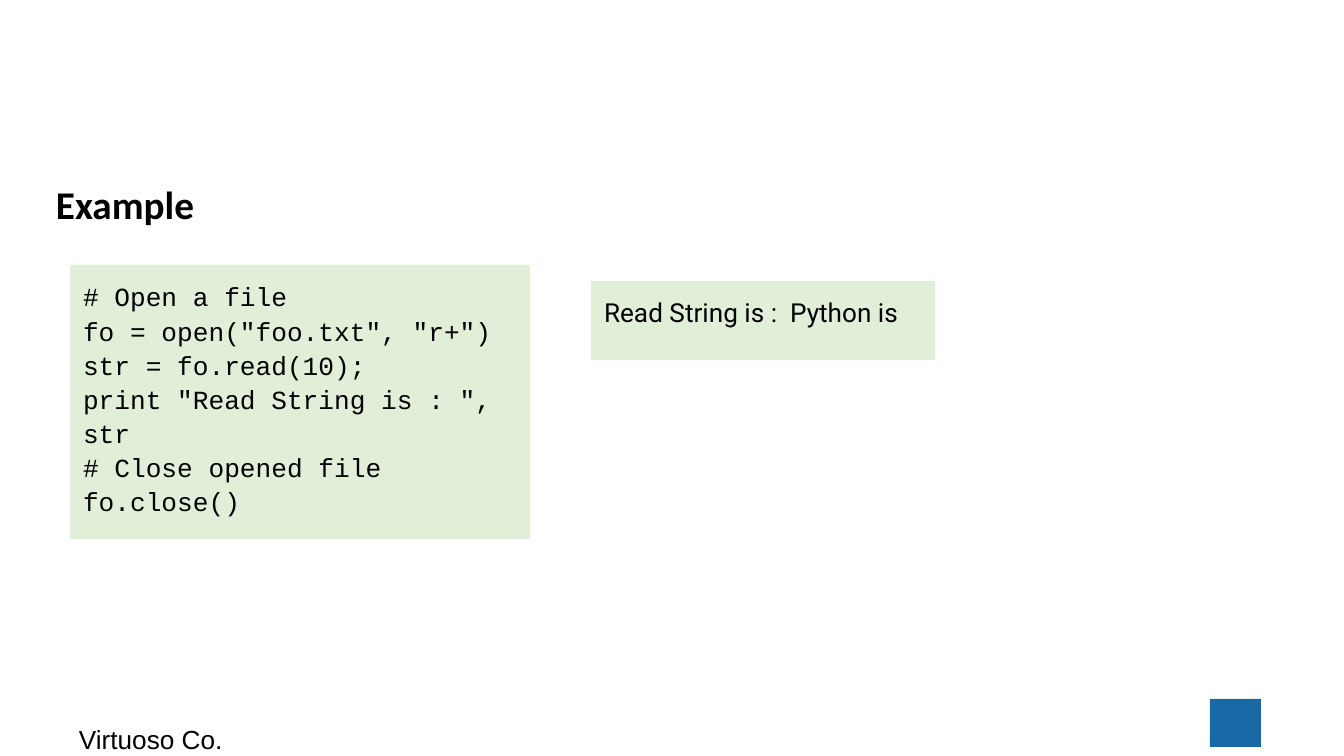
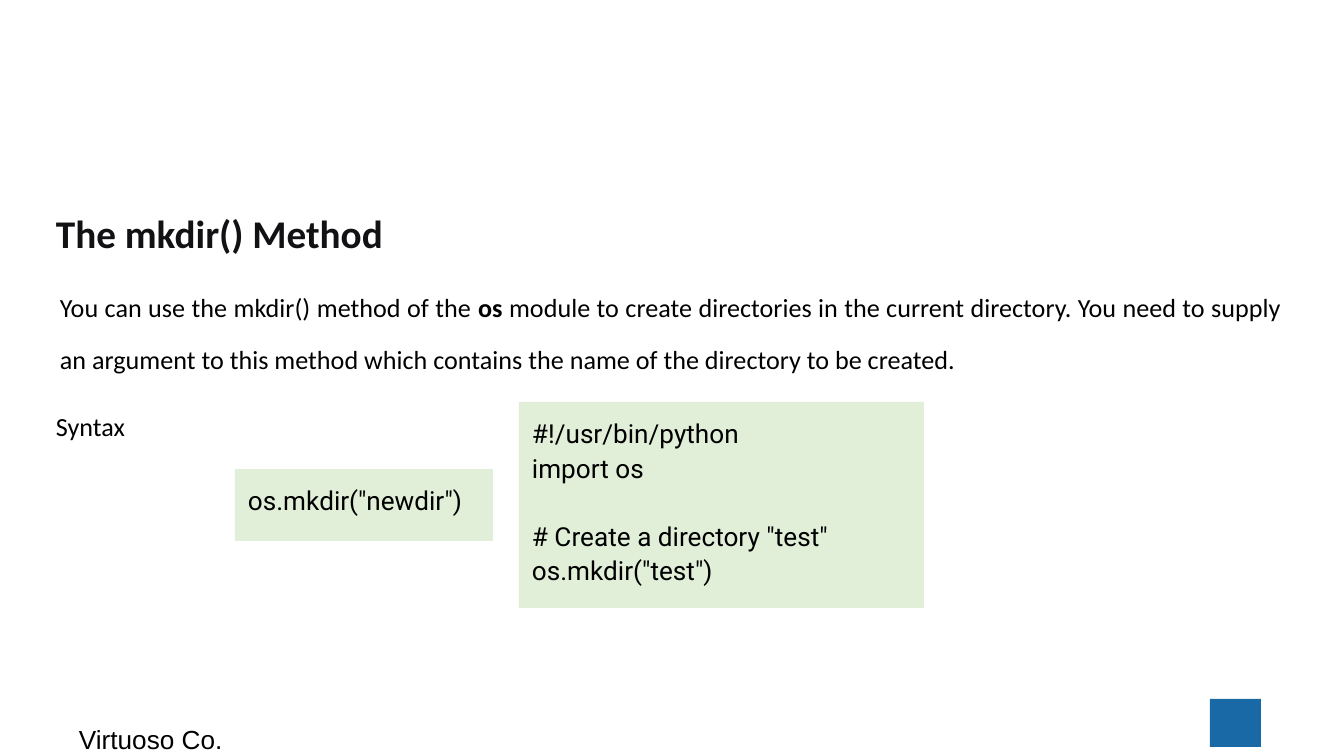
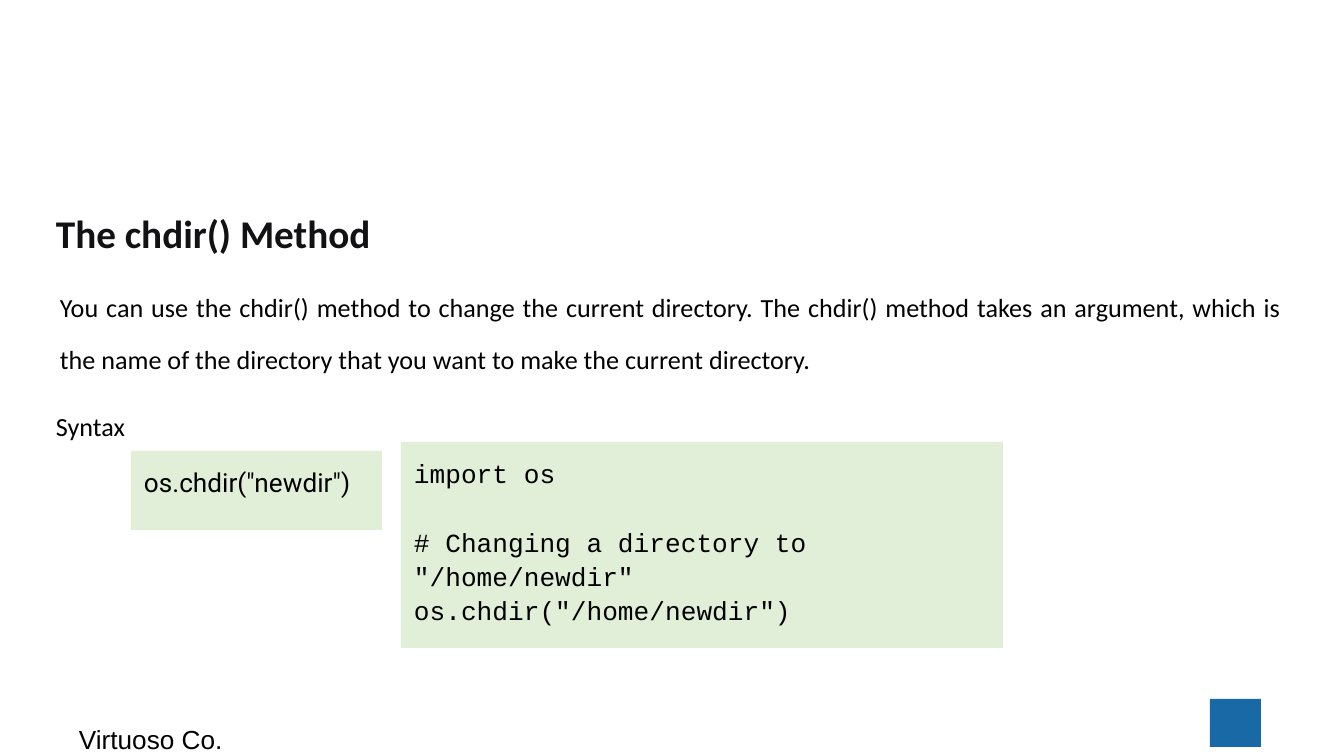
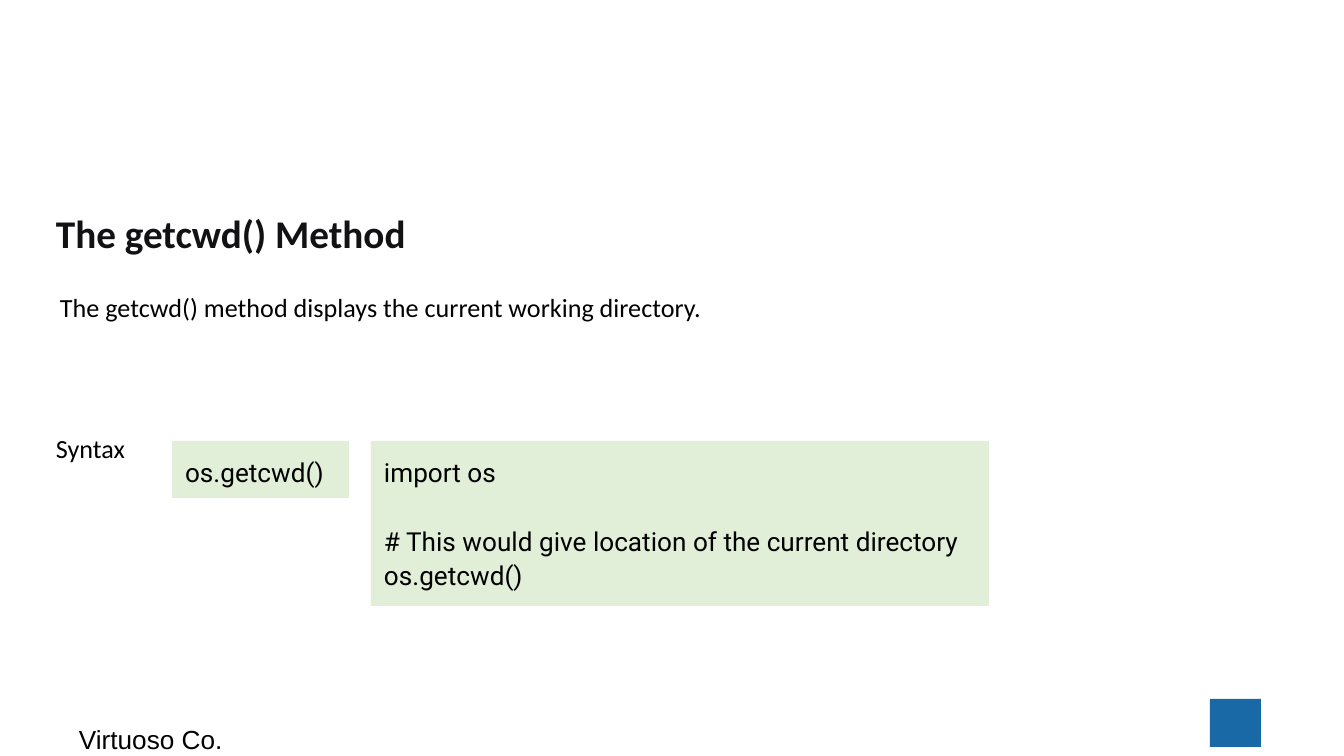
from dataclasses import dataclass

from copy import deepcopy
from pptx import Presentation
from pptx import util as u
from pptx.dml.color import RGBColor
from pptx.enum import shapes, text
from pptx.oxml.ns import qn

FOOTER = "Virtuoso Co."

SLIDES = [
    {
        "title": "Example",
        "code": [
            ((70, 265, 460, 274), "Courier New",
             '# Open a file\nfo = open("foo.txt", "r+")\nstr = fo.read(10);\n'
             'print "Read String is : ", str\n# Close opened file\nfo.close()'),
            ((591, 281, 344, 79), "Roboto", "Read String is :  Python is"),
        ],
    },
    {
        "title": "The mkdir() Method",
        "about": [
            ("You can use the mkdir() method of the ", False),
            ("os", True),
            (" module to create directories in the current directory. You need to supply "
             "an argument to this method which contains the name of the directory to be "
             "created.", False),
        ],
        "syntax_gap": 11,
        "code": [
            ((235, 469, 258, 72), "Roboto", 'os.mkdir("newdir")'),
            ((519, 402, 405, 206), "Roboto",
             '#!/usr/bin/python\nimport os\n\n# Create a directory "test"\nos.mkdir("test")'),
        ],
    },
    {
        "title": "The chdir() Method",
        "about": [
            ("You can use the chdir() method to change the current directory. The chdir() "
             "method takes an argument, which is the name of the directory that you want to "
             "make the current directory.", False),
        ],
        "syntax_gap": 11,
        "code": [
            ((131, 451, 251, 79), "Roboto", 'os.chdir("newdir")'),
            ((401, 442, 602, 206), "Courier New",
             'import os\n\n# Changing a directory to "/home/newdir"\nos.chdir("/home/newdir")'),
        ],
    },
    {
        "title": "The getcwd() Method",
        "about": [("The getcwd() method displays the current working directory.", False)],
        "syntax_gap": 50,
        "code": [
            ((172, 441, 177, 57), "Roboto", "os.getcwd()"),
            ((371, 441, 618, 165), "Roboto",
             "import os\n\n# This would give location of the current directory\nos.getcwd()"),
        ],
    },
]


@dataclass(frozen=True)
class Theme:
    black: str = "000000"
    heading: str = "121214"
    accent: str = "1869A6"
    code_fill: str = "E1EFD8"
    body_font: str = "Calibri"
    footer_font: str = "Arial"
    title_size: int = 21
    text_size: int = 14


T = Theme()
SLIDE_SIZE = (1344, 756)
SQUARE = (1210, 699, 51, 48)
FOOTER_BOX = (66, 710, 198, 32)
BODY_BOX = (46, 181, 1253, 491)
BODY_INSETS = (10, 5)
BOX_INSETS = (13, 13)
ABOUT_MARGINS = (4, 7)


def px(n):
    return u.Emu(round(n * 914400 / 134.4))


def style(r, font, size=T.text_size, color=T.black, bold=False):
    r.font.name = font
    r.font.size = u.Pt(size)
    r.font.bold = bold
    r.font.color.rgb = RGBColor.from_string(color)


def space(p, line, before=0):
    p.line_spacing = line
    p.space_before = u.Pt(before)


def set_frame(tf, insets):
    tf.word_wrap = True
    tf.auto_size = text.MSO_AUTO_SIZE.NONE
    tf.vertical_anchor = text.MSO_ANCHOR.TOP
    tf.margin_left = tf.margin_right = px(insets[0])
    tf.margin_top = tf.margin_bottom = px(insets[1])


def add_text(s, box, insets):
    tf = s.shapes.add_textbox(*map(px, box)).text_frame
    set_frame(tf, insets)
    return tf


def add_rect(s, box, fill):
    sp = s.shapes.add_shape(shapes.MSO_SHAPE.RECTANGLE, *map(px, box))
    sp.shadow.inherit = False
    sp.fill.solid()
    sp.fill.fore_color.rgb = RGBColor.from_string(fill)
    sp.line.fill.background()
    return sp


def add_frame(s):
    add_rect(s, SQUARE, T.accent)
    p = add_text(s, FOOTER_BOX, BOX_INSETS).paragraphs[0]
    p.text = FOOTER
    style(p.runs[0], T.footer_font)


def add_about(tf, runs):
    p = tf.add_paragraph()
    p.alignment = text.PP_ALIGN.JUSTIFY
    space(p, 1.64, 8)
    pPr = p._p.get_or_add_pPr()
    for side, margin in zip(("marL", "marR"), ABOUT_MARGINS):
        pPr.set(side, str(px(margin)))
    for words, bold in runs:
        r = p.add_run()
        r.text = words
        style(r, T.body_font, bold=bold)


def add_body(s, item):
    has_about = "about" in item
    tf = add_text(s, BODY_BOX, BODY_INSETS)
    p = tf.paragraphs[0]
    p.text = item["title"]
    space(p, *((1.5, 3) if has_about else (0.9, 8)))
    style(p.runs[0], T.body_font, T.title_size,
          T.heading if has_about else T.black, bold=True)
    if has_about:
        add_about(tf, item["about"])
        p = tf.add_paragraph()
        p.text = "Syntax"
        space(p, 1.5, item["syntax_gap"])
        style(p.runs[0], T.body_font)


def add_code(s, box, font, code):
    tf = add_rect(s, box, T.code_fill).text_frame
    set_frame(tf, BOX_INSETS)
    p = tf.paragraphs[0]
    p.text = code
    p.alignment = text.PP_ALIGN.LEFT
    space(p, 1.09)
    for r in p.runs:
        style(r, font)
    for br in p._p.findall(qn("a:br")):
        br.insert(0, deepcopy(p.runs[0]._r.rPr))


def main():
    prs = Presentation()
    prs.slide_width, prs.slide_height = map(px, SLIDE_SIZE)
    for item in SLIDES:
        s = prs.slides.add_slide(prs.slide_layouts[6])
        add_frame(s)
        add_body(s, item)
        for box, font, code in item["code"]:
            add_code(s, box, font, code)
    prs.save("out.pptx")


if __name__ == "__main__":
    main()
